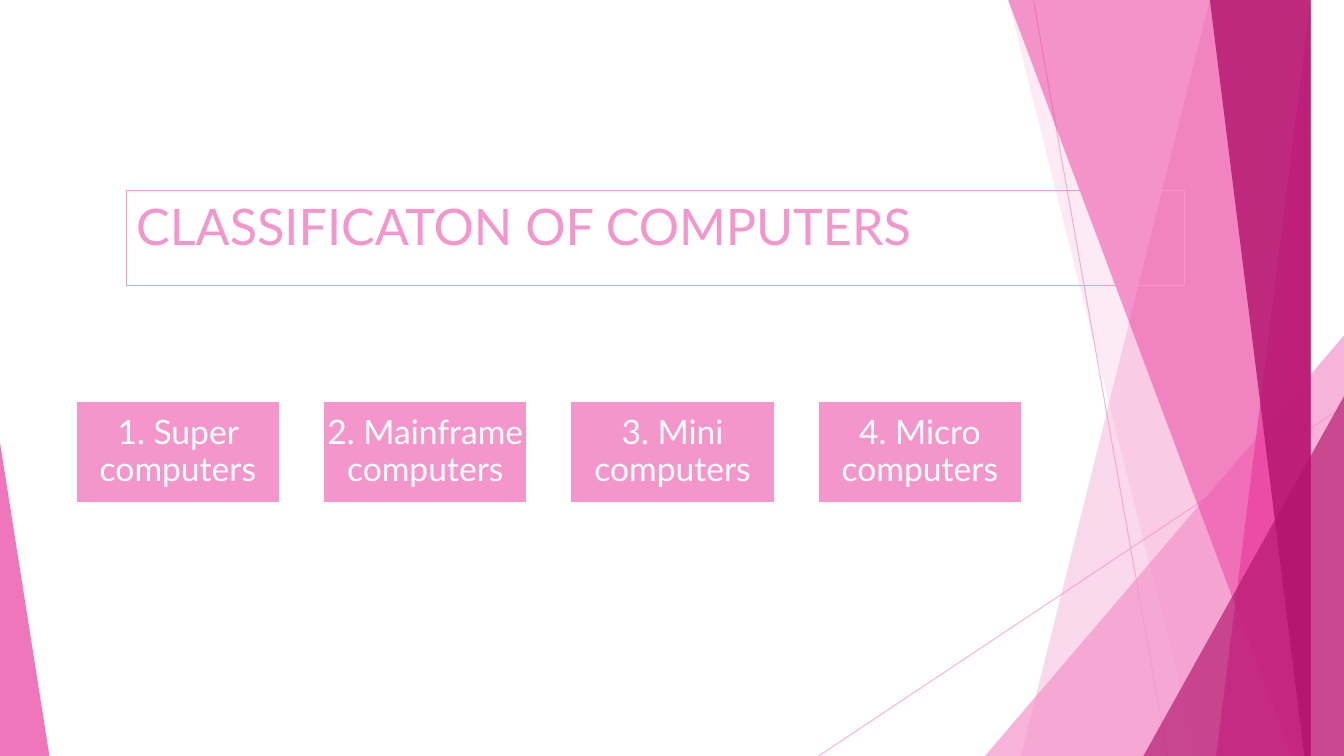
"""Builds the slide on the classes of computers."""
from lxml.etree import SubElement
from pptx import Presentation
from pptx.dml.color import RGBColor
from pptx.enum.shapes import MSO_CONNECTOR, MSO_SHAPE
from pptx.enum.text import MSO_ANCHOR, PP_ALIGN
from pptx.oxml.ns import qn
from pptx.util import Inches, Pt

WIDE, HIGH = 13.33, 7.5
PINK, ROSE, WINE, WHITE = "F496CB", "EB3D9F", "B2136D", "FFFFFF"
TITLE = "CLASSIFICATON OF COMPUTERS"
CLASSES = ["1. Super computers", "2. Mainframe computers",
           "3. Mini computers", "4. Micro computers"]
RAYS = [(10.25, 0, 11.58, HIGH), (WIDE, 4.03, 8.12, HIGH)]
PANELS = [
    ("band", (12.28, 10.04), PINK, 36),
    ("band", (10.5, 11.83), PINK, 20),
    ("wedge", (9.77, 3.33, 3.56, 1), PINK, 72),
    ("band", (10.21, 12.91), ROSE, 50),
    ("band", (13.03, 11.92), ROSE, 70),
    ("band", (11.96, 13.18), WINE, 80),
    ("wedge", (11.34, 3.93, 1.99, 1), WINE, 66),
    ("wedge", (0, 4.39, 0.49, 0), ROSE, 70),
]
LEFT, TOP, STEP, TILE = 0.75, 3.98, 2.453, (2.03, 1.01)


def paint(item, color, alpha=100):
    if hasattr(item, "solid"):
        item.solid()
        item.fore_color.rgb = RGBColor.from_string(color)
    else:
        item.color.rgb = RGBColor.from_string(color)
    if alpha < 100:
        node = item._xPr.find(".//" + qn("a:srgbClr"))
        SubElement(node, qn("a:alpha"), val=str(alpha * 1000))


def write(shape, text, size, color, align=PP_ALIGN.LEFT,
          anchor=MSO_ANCHOR.TOP, inset=(0.1, 0.05), lead=1.0):
    frame = shape.text_frame
    frame.word_wrap = True
    frame.vertical_anchor = anchor
    frame.margin_left = frame.margin_right = Inches(inset[0])
    frame.margin_top = frame.margin_bottom = Inches(inset[1])
    para = frame.paragraphs[0]
    para.alignment, para.line_spacing = align, lead
    run = para.add_run()
    run.text = text
    run.font.name, run.font.size = "Lato", Pt(size)
    run.font.color.rgb = RGBColor.from_string(color)


def band(shapes, head, foot):
    pen = shapes.build_freeform(head, -0.01, scale=Inches(1))
    pen.add_line_segments([(WIDE, -0.01), (WIDE, HIGH), (foot, HIGH)])
    return pen.convert_to_shape()


def wedge(shapes, left, top, width, tip):
    shape = shapes.add_shape(MSO_SHAPE.ISOSCELES_TRIANGLE, Inches(left),
                             Inches(top), Inches(width), Inches(HIGH - top))
    shape.adjustments[0] = tip
    return shape


def main():
    deck = Presentation()
    deck.slide_width, deck.slide_height = Inches(WIDE), Inches(HIGH)
    shapes = deck.slides.add_slide(deck.slide_layouts[5]).shapes

    for ray in RAYS:
        line = shapes.add_connector(MSO_CONNECTOR.STRAIGHT, *map(Inches, ray))
        line.line.width = Pt(0.75)
        paint(line.line.fill, PINK, 70)
        SubElement(line._element.spPr, qn("a:effectLst"))

    makers = {"band": band, "wedge": wedge}
    for kind, place, color, alpha in PANELS:
        panel = makers[kind](shapes, *place)
        panel.shadow.inherit = False
        panel.line.fill.background()
        paint(panel.fill, color)
        tint = panel._element.spPr.find(qn("a:solidFill"))[0]
        SubElement(tint, qn("a:alpha"), val=str(alpha * 1000))

    title = shapes.title
    title.left, title.top = Inches(1.25), Inches(1.89)
    title.width, title.height = Inches(10.5), Inches(0.94)
    title.line.width = Pt(0.75)
    paint(title.line, PINK)
    write(title, TITLE, 36, PINK)
    shapes._spTree.append(title._element)

    for i, name in enumerate(CLASSES):
        tile = shapes.add_shape(MSO_SHAPE.RECTANGLE, Inches(LEFT + i * STEP),
                                Inches(TOP), *map(Inches, TILE))
        tile.shadow.inherit = False
        paint(tile.fill, PINK)
        paint(tile.line, WHITE)
        tile.line.width = Pt(1.5)
        write(tile, name, 24, WHITE, align=PP_ALIGN.CENTER,
              anchor=MSO_ANCHOR.MIDDLE, inset=(0.02, 0.02), lead=0.9)

    deck.save("out.pptx")


if __name__ == "__main__":
    main()
